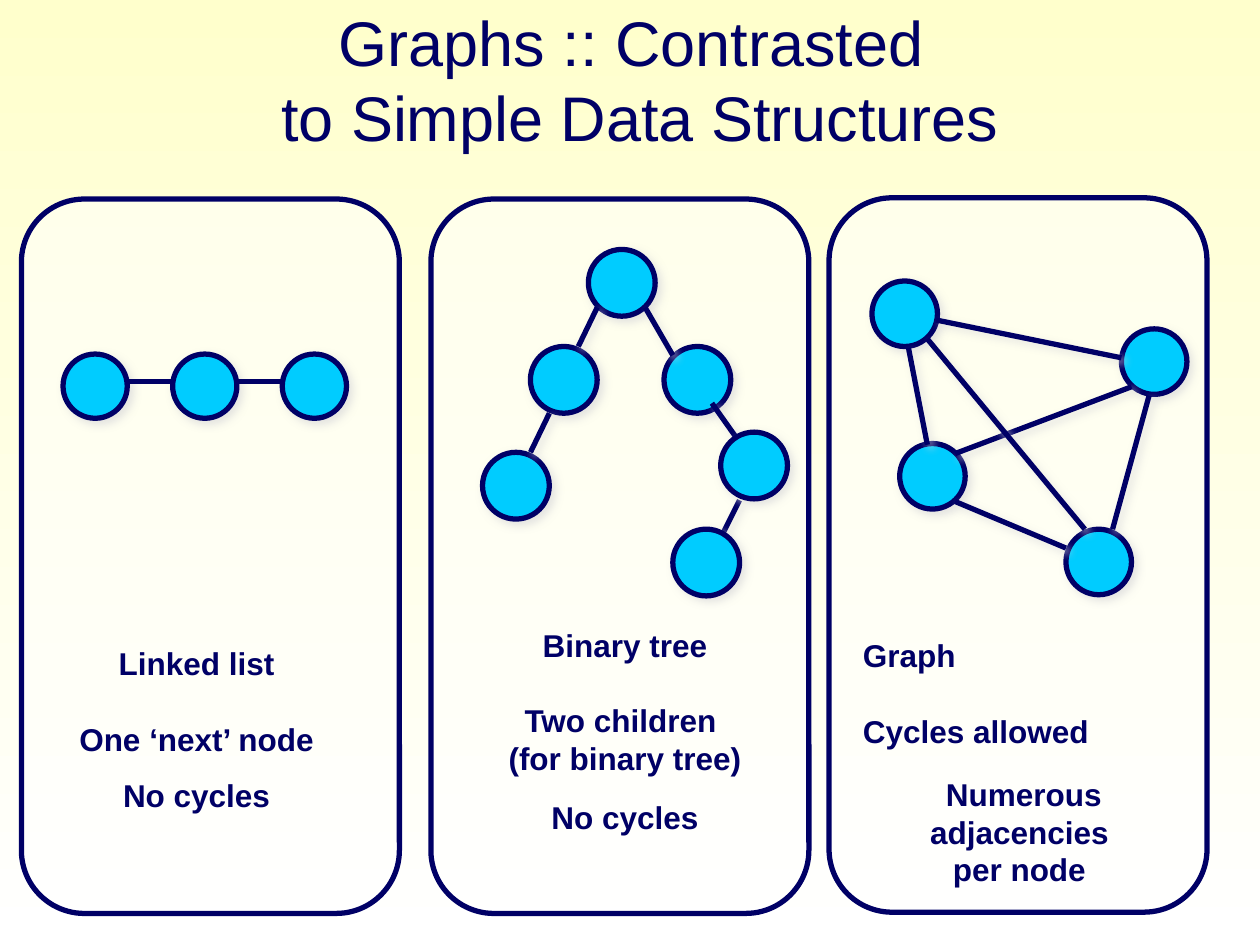
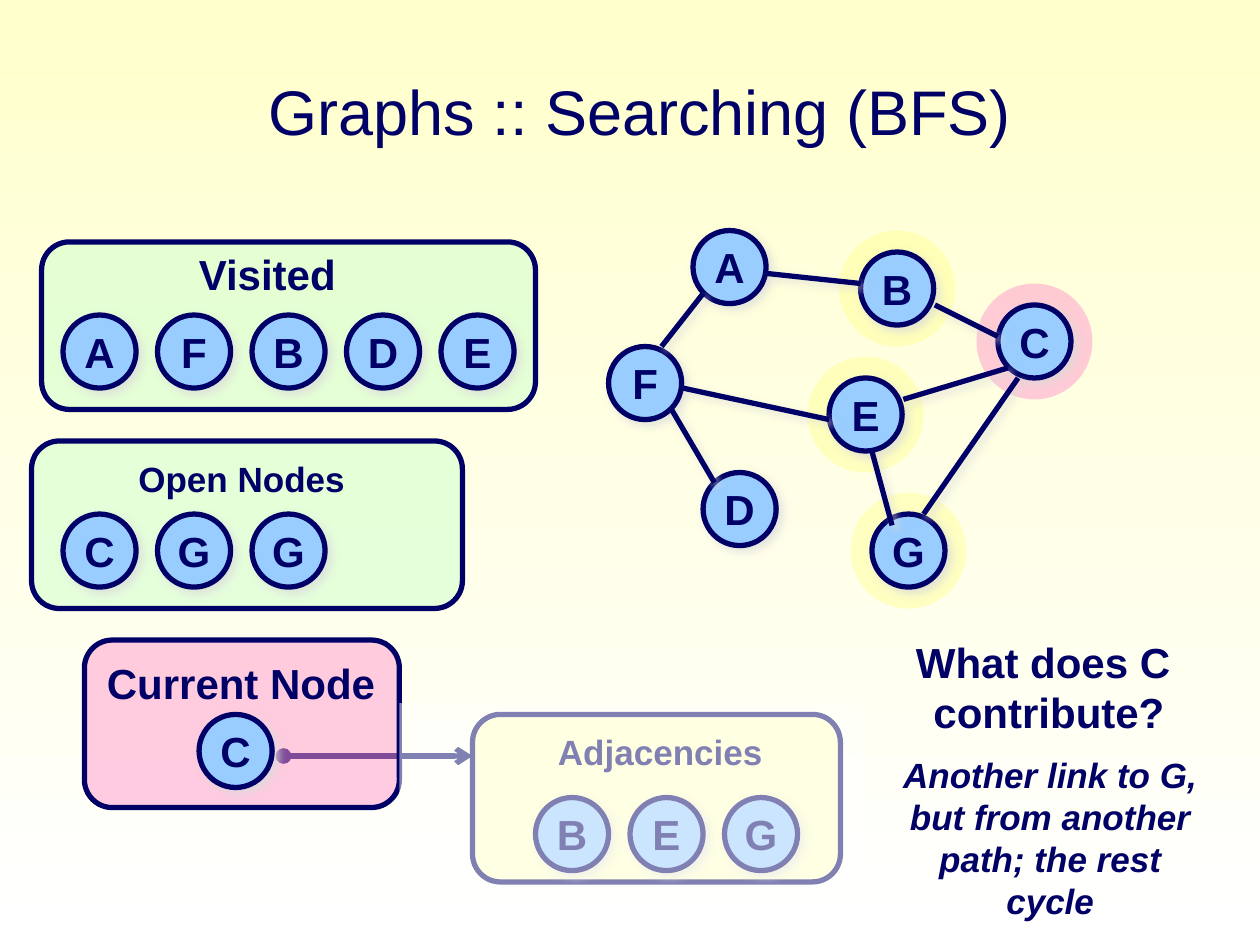
from lxml import etree
from pptx import Presentation
from pptx.dml.color import RGBColor
from pptx.enum.shapes import MSO_CONNECTOR, MSO_SHAPE
from pptx.enum.text import MSO_ANCHOR, PP_ALIGN
from pptx.oxml.ns import qn
from pptx.util import Inches, Pt

ROUND, OVAL, RECT = MSO_SHAPE.ROUNDED_RECTANGLE, MSO_SHAPE.OVAL, MSO_SHAPE.RECTANGLE
STRAIGHT = MSO_CONNECTOR.STRAIGHT
LEFT, CENTER = PP_ALIGN.LEFT, PP_ALIGN.CENTER
TOP, MIDDLE = MSO_ANCHOR.TOP, MSO_ANCHOR.MIDDLE

NAVY = RGBColor(0x00, 0x00, 0x66)
CYAN = RGBColor(0x00, 0xCC, 0xFF)
SKY = RGBColor(0x99, 0xCC, 0xFF)
CREAM = RGBColor(0xFF, 0xFF, 0xCC)
YELLOW = RGBColor(0xFF, 0xFF, 0x99)
MINT = RGBColor(0xCC, 0xFF, 0xCC)
PINK = RGBColor(0xFF, 0x99, 0xCC)
WHITE = RGBColor(0xFF, 0xFF, 0xFF)

FONT = "Arial"
NODE = 0.58
HALO = 0.92
STEP = 0.75


def add(parent, tag, **attrs):
    return etree.SubElement(parent, qn(tag), **attrs)


class Deck:
    """Holds the shared style and the slide being drawn."""

    def __init__(self):
        self.prs = Presentation()
        self.prs.slide_width, self.prs.slide_height = Inches(10), Inches(7.5)
        self.slide = None

    def page(self, title, top):
        self.slide = self.prs.slides.add_slide(self.prs.slide_layouts[6])
        fill = self.slide.background.fill
        fill.gradient()
        fill.gradient_angle = 270
        for stop, color in zip(fill.gradient_stops, (CREAM, WHITE)):
            stop.color.rgb = color
        self.text([(title, 0)], 0.83, top, 8.5, 1.25, size=36, bold=False,
                  anchor=MIDDLE)

    def style(self, para, size, bold=True, italic=False):
        for run in para.runs:
            font = run.font
            font.name, font.size, font.color.rgb = FONT, Pt(size), NAVY
            font.bold, font.italic = bold, italic

    def text(self, lines, x, y, w, h, size=18, bold=True, italic=False,
             align=CENTER, anchor=TOP, wrap=True):
        """Each line is its text, the space before it and, if given, its alignment."""
        box = self.slide.shapes.add_textbox(Inches(x), Inches(y), Inches(w), Inches(h))
        frame = box.text_frame
        frame.word_wrap, frame.vertical_anchor = wrap, anchor
        for i, (words, gap, *side) in enumerate(lines):
            para = frame.add_paragraph() if i else frame.paragraphs[0]
            para.text = words
            para.alignment = side[0] if side else align
            para.space_before = Pt(gap)
            self.style(para, size, bold, italic)

    def label(self, words, x, y, w, h, size=24):
        self.text([(words, 0)], x, y, w, h, size, align=LEFT, wrap=False)

    def shadow(self, effects):
        cast = add(effects, "a:outerShdw", blurRad=str(Pt(5)), dist=str(Pt(3)),
                   dir="2700000", algn="ctr", rotWithShape="0")
        add(add(cast, "a:srgbClr", val="DDDDDD"), "a:alpha", val="75000")

    def shape(self, kind, x, y, w, h, color, clear=True, line=True):
        item = self.slide.shapes.add_shape(kind, Inches(x), Inches(y), Inches(w), Inches(h))
        item.shadow.inherit = False
        item.fill.solid()
        item.fill.fore_color.rgb = color
        if clear:
            tone = item._element.spPr.find(qn("a:solidFill")).find(qn("a:srgbClr"))
            add(tone, "a:alpha", val="50000")
        if line:
            item.line.color.rgb, item.line.width = NAVY, Pt(3)
        else:
            item.line.fill.background()
        return item

    def panel(self, x, y, w, h, color):
        self.shape(ROUND, x, y, w, h, color)

    def halo(self, x, y, color):
        edge = (HALO - NODE) / 2
        self.shape(OVAL, x - edge, y - edge, HALO, HALO, color, line=False)

    def node(self, x, y, name="", size=NODE, color=SKY):
        item = self.shape(OVAL, x, y, size, size, color, clear=False)
        self.shadow(item._element.spPr.find(qn("a:effectLst")))
        if name:
            frame = item.text_frame
            frame.text = name
            frame.word_wrap, frame.vertical_anchor = False, MIDDLE
            frame.paragraphs[0].alignment = CENTER
            self.style(frame.paragraphs[0], 24)

    def row(self, names, x, y):
        for i, name in enumerate(names):
            self.node(x + i * STEP, y, name)

    def edge(self, x1, y1, x2, y2, shade=True, arrow=False):
        link = self.slide.shapes.add_connector(
            STRAIGHT, Inches(x1), Inches(y1), Inches(x2), Inches(y2))
        link.line.color.rgb, link.line.width = NAVY, Pt(3)
        effects = add(link._element.spPr, "a:effectLst")
        if shade:
            self.shadow(effects)
        if arrow:
            ln = link.line._get_or_add_ln()
            add(ln, "a:headEnd", type="oval")
            add(ln, "a:tailEnd", type="arrow")


def contrast(deck):
    deck.page("Graphs :: Contrasted \vto Simple Data Structures", 0)
    for x, y in ((3.42, 1.58), (6.58, 1.57), (0.17, 1.58)):
        deck.panel(x, y, 3, 5.67, WHITE)

    # Graph
    for x, y in ((6.92, 2.23), (8.9, 2.61), (8.46, 4.2), (7.14, 3.52)):
        deck.node(x, y, size=0.52, color=CYAN)
    for ends in ((7.43, 2.54, 8.9, 2.84), (8.98, 3.07, 7.58, 3.6),
                 (7.58, 3.98, 8.46, 4.35), (7.36, 3.53, 7.21, 2.76),
                 (9.12, 3.14, 8.83, 4.2), (7.36, 2.69, 8.61, 4.2)):
        deck.edge(*ends)

    # Binary tree, with the lower right nodes over their edges
    for x, y in ((3.83, 3.59), (4.67, 1.98), (5.27, 2.75), (4.21, 2.75)):
        deck.node(x, y, size=0.53, color=CYAN)
    for ends in ((5.12, 2.44, 5.34, 2.82), (4.74, 2.44, 4.59, 2.75),
                 (5.65, 3.2, 5.87, 3.51), (5.87, 3.97, 5.72, 4.27),
                 (4.36, 3.28, 4.21, 3.59)):
        deck.edge(*ends)
    for x, y in ((5.72, 3.43), (5.34, 4.2)):
        deck.node(x, y, size=0.53, color=CYAN)

    # Linked list
    gap = 0.87
    for i in range(3):
        deck.node(0.5 + i * gap, 2.81, size=0.51, color=CYAN)
    for i in range(2):
        x = 1.01 + i * gap
        deck.edge(x, 3.03, x + 0.36, 3.03, shade=False)

    # Captions
    deck.text([("Linked list", 0), ("One ‘next’ node", 22), ("No cycles", 10.5)],
              0.52, 5.06, 2.08, 1.45, wrap=False)
    deck.text([("Binary tree", 0), ("Two children ", 21.5), ("(for binary tree)", 0),
               ("No cycles", 12)], 3.67, 4.92, 2.58, 1.77)
    deck.text([("Graph", 0, LEFT), ("Cycles allowed", 21.5, LEFT),
               ("Numerous adjacencies ", 14.5), ("per node ", 0)],
              6.75, 5, 2.75, 2.1)


def search(deck):
    deck.page("Graphs :: Searching (BFS)", 0.25)
    spots = {"A": (5.5, 1.83), "G": (6.92, 4.08), "B": (6.83, 2), "C": (7.92, 2.42),
             "D": (5.58, 3.75), "F": (4.83, 2.75), "E": (6.58, 3)}

    # Adjacencies of the current node
    for name in "EBG":
        deck.halo(*spots[name], YELLOW)
    deck.panel(3.75, 5.67, 2.92, 1.33, YELLOW)
    deck.row("BEG", 4.25, 6.33)
    deck.label("Adjacencies", 4.33, 5.75, 2, 0.43, size=20)
    deck.edge(2.25, 6, 3.75, 6, shade=False, arrow=True)

    # Graph
    deck.halo(*spots["C"], PINK)
    for name, spot in spots.items():
        deck.node(*spot, name)
    for ends in ((6.08, 2.17, 6.83, 2.25), (7.42, 2.42, 7.92, 2.67),
                 (5.58, 2.33, 5.25, 2.75), (8, 2.92, 7.17, 3.17),
                 (8.08, 3, 7.33, 4.08), (7.08, 4.17, 6.92, 3.58),
                 (5.67, 3.83, 5.33, 3.25), (5.42, 3.08, 6.58, 3.33)):
        deck.edge(*ends)

    # Visited, open and current nodes
    deck.panel(0.33, 1.92, 3.92, 1.33, MINT)
    deck.label("Visited", 1.48, 1.92, 1.4, 0.5)
    deck.row("AFBDE", 0.5, 2.5)
    deck.panel(0.25, 3.5, 3.42, 1.33, MINT)
    deck.label("Open Nodes", 1, 3.58, 2, 0.43, size=20)
    deck.row("CGG", 0.5, 4.08)
    deck.panel(0.67, 5.08, 2.5, 1.33, PINK)
    deck.label("Current Node", 0.75, 5.17, 2.4, 0.5)
    deck.node(1.58, 5.67, "C")

    # Veil over the adjacencies
    deck.shape(RECT, 3.17, 5.58, 3.67, 1.5, WHITE, line=False)

    # Question and answer
    deck.text([("What does C ", 0), ("contribute?", 0)], 7.17, 5, 2.31, 0.9,
              size=24, anchor=MIDDLE, wrap=False)
    deck.text([("Another link to G,", 0), ("but from another", 0),
               ("path; the rest cycle", 0)], 6.97, 6.1, 2.73, 1.1,
              size=20, italic=True, anchor=MIDDLE)


def main():
    deck = Deck()
    contrast(deck)
    search(deck)
    deck.prs.save("out.pptx")


if __name__ == "__main__":
    main()
